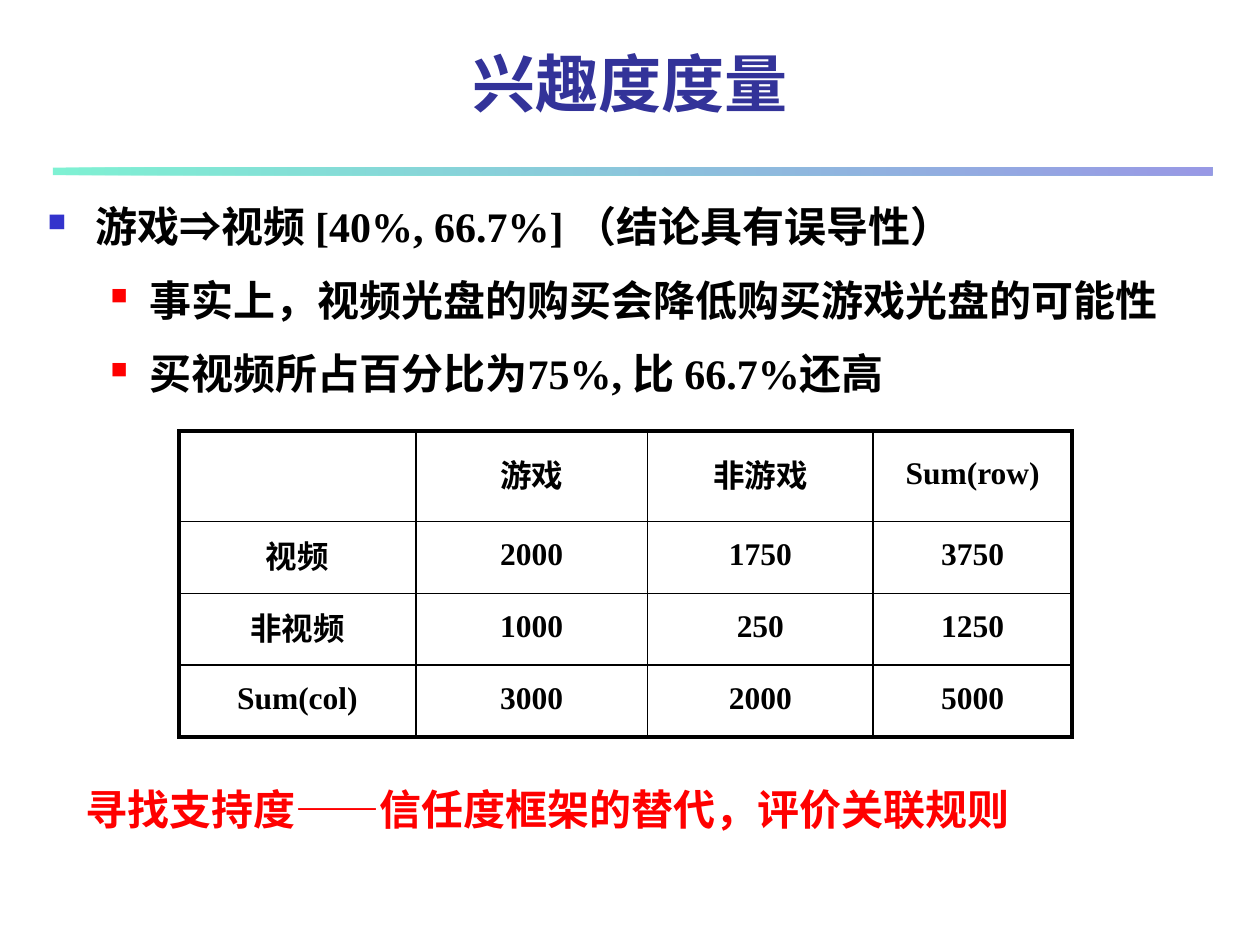
from dataclasses import dataclass

from lxml.etree import SubElement
from pptx import Presentation
from pptx.dml.color import RGBColor
from pptx.enum.shapes import MSO_SHAPE
from pptx.enum.text import MSO_ANCHOR, PP_ALIGN
from pptx.oxml.ns import qn
from pptx.util import Inches, Pt

SERIF = "Times New Roman"
THIN, THICK = 1, 2.25


@dataclass
class Bullet:
    text: str
    level: int
    color: str
    size: int  # percent of the text size
    margin: float
    indent: float


BULLETS = [
    Bullet("游戏⇒视频 [40%, 66.7%] （结论具有误导性）", 0, "3333CC", 60, 0.38, -0.38),
    Bullet("事实上，视频光盘的购买会降低购买游戏光盘的可能性", 1, "FF0000", 55, 0.81, -0.31),
    Bullet("买视频所占百分比为75%, 比 66.7%还高", 1, "FF0000", 55, 0.81, -0.31),
]
COUNTS = [
    ["", "游戏", "非游戏", "Sum(row)"],
    ["视频", "2000", "1750", "3750"],
    ["非视频", "1000", "250", "1250"],
    ["Sum(col)", "3000", "2000", "5000"],
]
COL_WIDTHS = [1.88, 1.84, 1.79, 1.58]
ROW_HEIGHTS = [0.72, 0.57, 0.57, 0.57]


def rgb(color: str) -> RGBColor:
    return RGBColor.from_string(color)


def write(p, text: str, *, size: float = 24, font: str = SERIF, color: str = "000000",
          align=None, line: float = 1.0, before: float = 0) -> None:
    """Fill a paragraph with one bold run."""
    p.alignment = align
    p.line_spacing = line
    p.space_before = Pt(before)
    r = p.add_run()
    r.text = text
    r.font.size, r.font.name, r.font.bold = Pt(size), font, True
    r.font.color.rgb = rgb(color)


def add_text_frame(s, left: float, top: float, width: float, height: float,
                   anchor=MSO_ANCHOR.TOP):
    tf = s.shapes.add_textbox(Inches(left), Inches(top), Inches(width), Inches(height)).text_frame
    tf.word_wrap = True
    tf.vertical_anchor = anchor
    return tf


def add_rule(s) -> None:
    """Half-transparent gradient bar under the title."""
    sp = s.shapes.add_shape(MSO_SHAPE.RECTANGLE, Inches(0.42), Inches(1.33),
                            Inches(9.2), Inches(0.06))
    sp.shadow.inherit = False
    sp.line.fill.background()
    sp.fill.gradient()
    sp.fill.gradient_angle = 0
    for stop, color in zip(sp.fill.gradient_stops, ("00E4A8", "3333CC")):
        stop.color.rgb = rgb(color)
    for clr in list(sp._element.spPr.iter(qn("a:srgbClr"))):
        SubElement(clr, qn("a:alpha"), val="50000")


def add_bullet(p, b: Bullet) -> None:
    write(p, b.text, align=PP_ALIGN.JUSTIFY, line=1.3, before=4.8)
    p.level = b.level
    pPr = p._p.get_or_add_pPr()
    pPr.set("marL", str(Inches(b.margin)))
    pPr.set("indent", str(Inches(b.indent)))
    SubElement(SubElement(pPr, qn("a:buClr")), qn("a:srgbClr"), val=b.color)
    SubElement(pPr, qn("a:buSzPct"), val=str(b.size * 1000))
    SubElement(pPr, qn("a:buChar"), char="■")


def set_borders(cell, **widths: float) -> None:
    tcPr = cell._tc.get_or_add_tcPr()
    for side, width in widths.items():
        ln = SubElement(tcPr, qn(f"a:ln{side}"), w=str(Pt(width)))
        SubElement(SubElement(ln, qn("a:solidFill")), qn("a:srgbClr"), val="000000")


def add_count_table(s) -> None:
    n_rows, n_cols = len(COUNTS), len(COUNTS[0])
    table = s.shapes.add_table(n_rows, n_cols, Inches(1.42), Inches(3.42),
                               Inches(sum(COL_WIDTHS)), Inches(sum(ROW_HEIGHTS))).table
    table.first_row = table.horz_banding = False
    for col, width in zip(table.columns, COL_WIDTHS):
        col.width = Inches(width)
    for row, height in zip(table.rows, ROW_HEIGHTS):
        row.height = Inches(height)
    for i, values in enumerate(COUNTS):
        for j, value in enumerate(values):
            cell = table.cell(i, j)
            cell.vertical_anchor = MSO_ANCHOR.MIDDLE
            set_borders(cell,
                        L=THICK if j == 0 else THIN,
                        R=THICK if j == n_cols - 1 else THIN,
                        T=THICK if i == 0 else THIN,
                        B=THICK if i == n_rows - 1 else THIN)
            cell.fill.background()
            if value:
                write(cell.text_frame.paragraphs[0], value, size=18,
                      align=PP_ALIGN.CENTER, line=0.8)


def main() -> None:
    prs = Presentation()
    prs.slide_width, prs.slide_height = Inches(10), Inches(7.5)
    s = prs.slides.add_slide(prs.slide_layouts[6])

    add_rule(s)
    title = add_text_frame(s, 0, 0.4, 10, 0.6, MSO_ANCHOR.BOTTOM)
    write(title.paragraphs[0], "兴趣度度量", size=36, font="Cabin", color="333399",
          align=PP_ALIGN.CENTER)

    body = add_text_frame(s, 0.28, 1.42, 9.39, 5.33)
    for i, bullet in enumerate(BULLETS):
        add_bullet(body.add_paragraph() if i else body.paragraphs[0], bullet)

    add_count_table(s)
    conclusion = add_text_frame(s, 0.58, 6.17, 8.17, 0.51)
    write(conclusion.paragraphs[0], "寻找支持度——信任度框架的替代，评价关联规则",
          font="Roboto", color="FF0000")
    prs.save("out.pptx")


if __name__ == "__main__":
    main()
